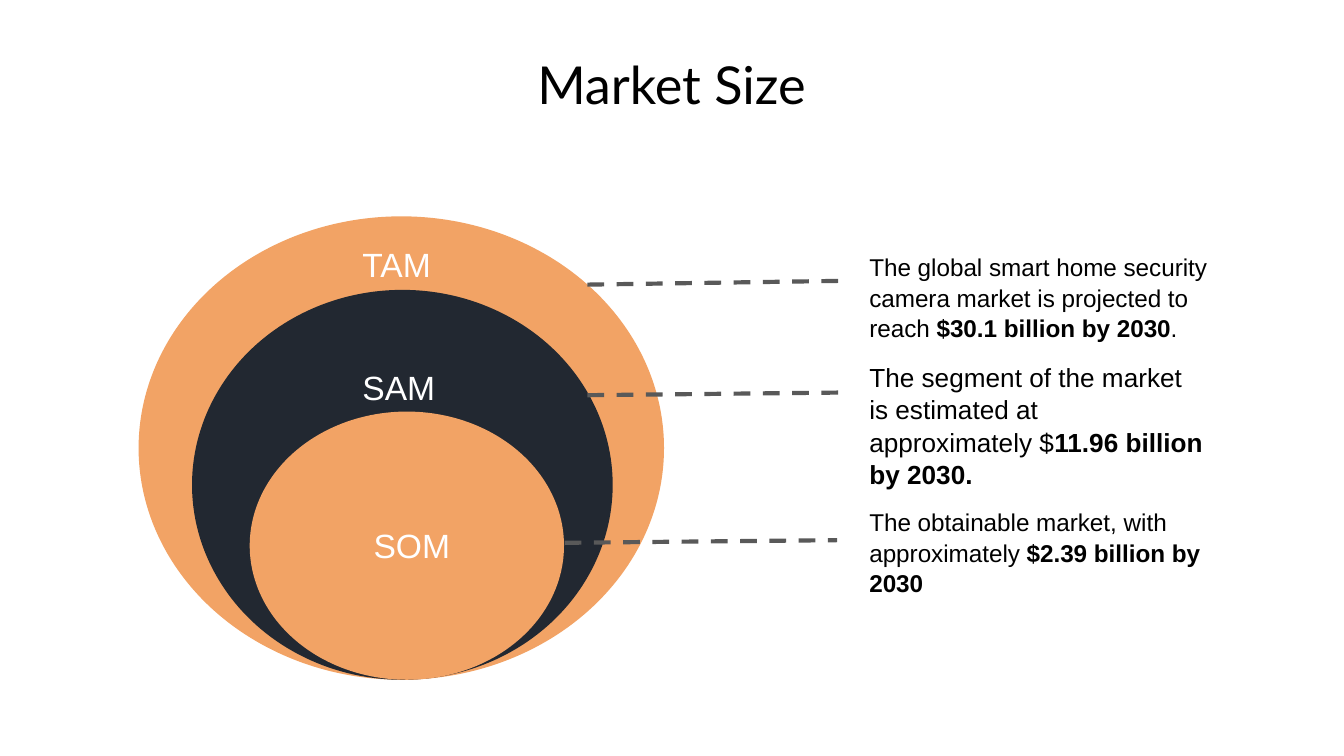
from pptx import Presentation
from pptx.dml.color import RGBColor
from pptx.enum.dml import MSO_LINE
from pptx.enum.shapes import MSO_CONNECTOR, MSO_SHAPE
from pptx.enum.text import MSO_ANCHOR, PP_ALIGN
from pptx.oxml.ns import qn
from pptx.util import Cm, Pt
from lxml import etree

OVAL = MSO_SHAPE.OVAL
STRAIGHT = MSO_CONNECTOR.STRAIGHT
DASH = MSO_LINE.DASH
TOP = MSO_ANCHOR.TOP
LEFT, CENTER = PP_ALIGN.LEFT, PP_ALIGN.CENTER

COLORS = {
    "orange": "F2A365",
    "navy": "222831",
    "gray": "595959",
    "black": "000000",
    "white": "FFFFFF",
}


def color(name):
    return RGBColor.from_string(COLORS[name])


def write(box, spans, size, font="Arial", fill="black", align=LEFT, spacing=1.04):
    """Fill a box with one paragraph of (text, bold) spans."""
    frame = box.text_frame
    frame.word_wrap = True
    frame.vertical_anchor = TOP
    frame.margin_left = frame.margin_right = Cm(0.25)
    frame.margin_top = frame.margin_bottom = Cm(0.25)
    para = frame.paragraphs[0]
    para.alignment = align
    para.line_spacing = spacing
    para.space_before = Pt(0)
    for text, bold in spans:
        span = para.add_run()
        span.text = text
        span.font.name = font
        span.font.size = Pt(size)
        span.font.bold = bold
        span.font.color.rgb = color(fill)


deck = Presentation()
deck.slide_width, deck.slide_height = Cm(25.4), Cm(14.29)
page = deck.slides.add_slide(deck.slide_layouts[5])

# Title
title = page.shapes.title
title.left, title.top, title.width, title.height = Cm(0.41), Cm(0.74), Cm(24.56), Cm(1.5)
write(title, [("Market Size", False)], 28, font="Lato", align=CENTER, spacing=1.0)

# Nested market ovals, all resting on the same base line
base = 12.85
for left, width, height, fill in [
    (2.62, 9.93, 8.76, "orange"),
    (3.63, 7.95, 7.37, "navy"),
    (4.72, 5.94, 5.07, "orange"),
]:
    oval = page.shapes.add_shape(OVAL, Cm(left), Cm(base - height), Cm(width), Cm(height))
    oval.shadow.inherit = False
    oval.fill.solid()
    oval.fill.fore_color.rgb = color(fill)
    oval.line.fill.background()

# Market descriptions
for top, width, size, spans in [
    (4.5, 7.06, 13, [
        ("The global smart home security camera market is projected to reach ", False),
        ("$30.1 billion by 2030", True),
        (".", False),
    ]),
    (6.55, 6.88, 14, [
        ("The segment of the market is estimated at approximately $", False),
        ("11.96 billion by 2030.", True),
    ]),
    (9.32, 6.88, 13, [
        ("The obtainable market, with approximately ", False),
        ("$2.39 billion by 2030", True),
    ]),
]:
    box = page.shapes.add_textbox(Cm(16.18), Cm(top), Cm(width), Cm(0.56))
    write(box, spans, size)

# Dashed leaders from ovals to descriptions
for start_x, start_y, end_x, end_y in [
    (11.1, 5.38, 15.88, 5.31),
    (11.1, 7.47, 15.88, 7.42),
    (10.67, 10.26, 15.82, 10.21),
]:
    leader = page.shapes.add_connector(
        STRAIGHT, Cm(start_x), Cm(start_y), Cm(end_x), Cm(end_y))
    leader.line.color.rgb = color("gray")
    leader.line.width = Pt(2.25)
    leader.line.dash_style = DASH
    etree.SubElement(leader.element.spPr, qn("a:effectLst"))

# Oval labels
for name, left, top in [("TAM", 6.6, 4.34), ("SAM", 6.6, 6.65), ("SOM", 6.81, 9.65)]:
    label = page.shapes.add_textbox(Cm(left), Cm(top), Cm(2.21), Cm(0.56))
    write(label, [(name, False)], 18, fill="white")

deck.save("out.pptx")
